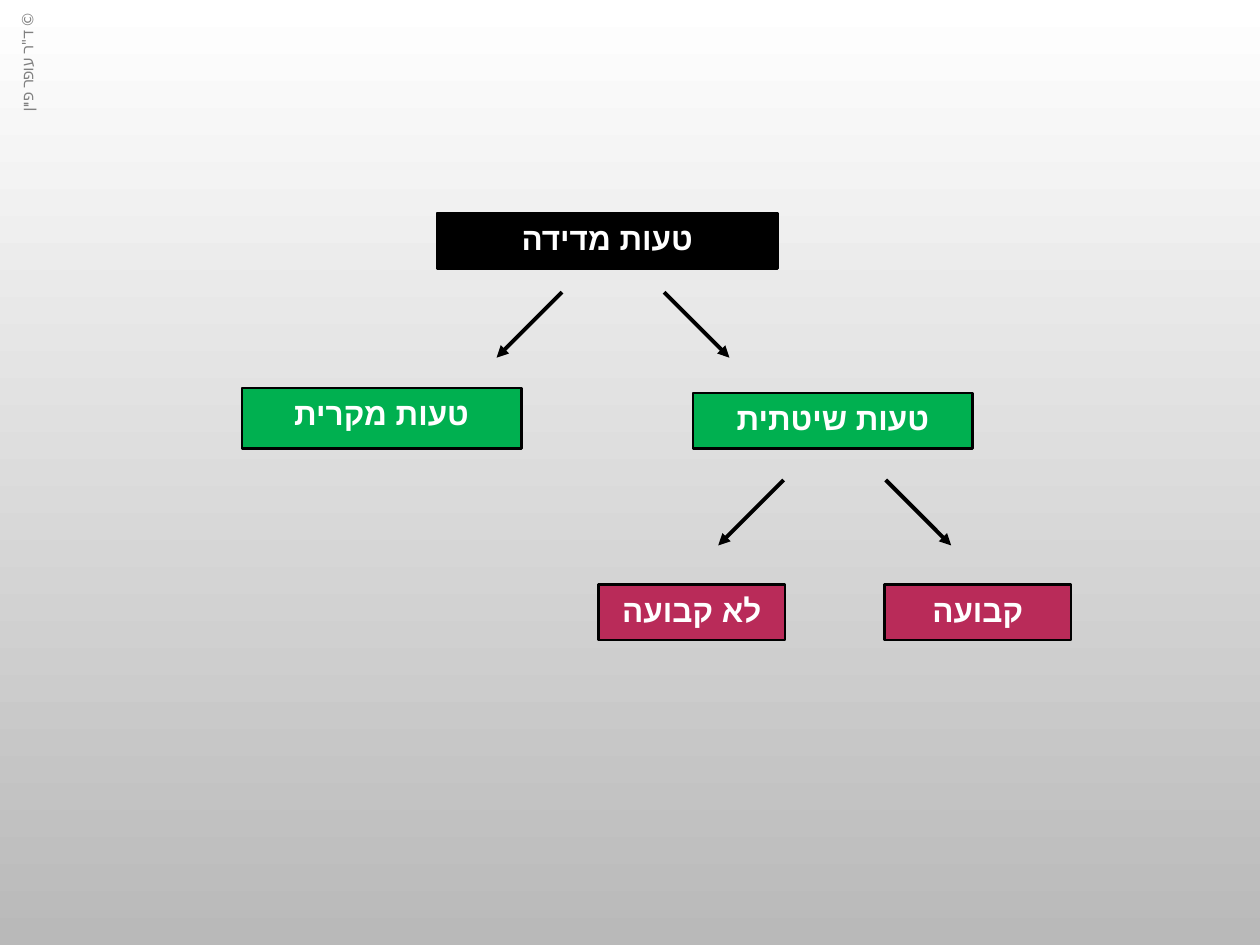
from pptx import Presentation
from pptx import util as u
from pptx.dml.color import RGBColor
from pptx.enum import shapes, text
from pptx.oxml.ns import qn
from lxml import etree

Pt = u.Pt
BLACK, GREEN, CRIMSON = "000000", "00B050", "B92B59"
LEVEL_TOPS = {"root": 121.7, "random": 221.8, "systematic": 224.6, "leaf": 334.1}
BOX_HEIGHT = 31.7


def color(value):
    return RGBColor.from_string(value)


def paint_background(slide, top, bottom):
    fill = slide.background.fill
    fill.gradient()
    fill.gradient_angle = 270
    for stop, shade in zip(fill.gradient_stops, (top, bottom)):
        stop.color.rgb = color(shade)


def write_hebrew(frame, wording, typeface, shade, **font_format):
    """Write one centred right-to-left paragraph."""
    frame.word_wrap = True
    frame.vertical_anchor = text.MSO_ANCHOR.TOP
    paragraph = frame.paragraphs[0]
    paragraph.alignment = text.PP_ALIGN.CENTER
    paragraph._p.get_or_add_pPr().set("rtl", "1")
    run = paragraph.add_run()
    run.text = wording
    for key, value in {"name": typeface, **font_format}.items():
        setattr(run.font, key, value)
    run.font.color.rgb = color(shade)
    # Hebrew letters take the complex-script typeface
    script = etree.SubElement(run._r.get_or_add_rPr(), qn("a:cs"))
    script.set("typeface", typeface)


def add_error_box(slide, wording, left, top, width, fill, height=BOX_HEIGHT):
    box = slide.shapes.add_shape(shapes.MSO_SHAPE.RECTANGLE,
                                 Pt(left), Pt(top), Pt(width), Pt(height))
    box.shadow.inherit = False
    box.fill.solid()
    box.fill.fore_color.rgb = color(fill)
    box.line.color.rgb = color(BLACK)
    box.line.width = Pt(1.5)
    write_hebrew(box.text_frame, wording, "Arial", "FFFFFF", size=Pt(18), bold=True)


def add_fork(slide, center, top, gap=58.3, reach=37.4):
    """Draw two arrows that spread down to the left and right of center."""
    for side in (-1, 1):
        start = center + side * gap / 2
        arrow = slide.shapes.add_connector(
            shapes.MSO_CONNECTOR.STRAIGHT, Pt(start), Pt(top),
            Pt(start + side * reach), Pt(top + reach))
        arrow.line.color.rgb = color(BLACK)
        arrow.line.width = Pt(2.25)
        outline = arrow.line._get_or_add_ln()
        etree.SubElement(outline, qn("a:tailEnd")).set("type", "triangle")
        etree.SubElement(arrow._element.spPr, qn("a:effectLst"))


def add_copyright(slide):
    credit = slide.shapes.add_textbox(Pt(-20.2), Pt(26.6), Pt(71.3), Pt(18))
    credit.rotation = 270
    write_hebrew(credit.text_frame, '© ד"ר עופר פיין', "Lato", "808080", size=Pt(9))
    credit.text_frame.auto_size = text.MSO_AUTO_SIZE.SHAPE_TO_FIT_TEXT


def main():
    deck = Presentation()
    deck.slide_width, deck.slide_height = Pt(720), Pt(540)
    slide = deck.slides.add_slide(deck.slide_layouts[6])
    paint_background(slide, "FFFFFF", "B9B9B9")
    add_copyright(slide)

    add_error_box(slide, "טעות מדידה", 249.8, LEVEL_TOPS["root"], 194.4, BLACK)
    add_error_box(slide, "טעות מקרית", 138.2, LEVEL_TOPS["random"], 159.8, GREEN,
                  height=34.6)
    add_error_box(slide, "טעות שיטתית", 396, LEVEL_TOPS["systematic"], 159.8, GREEN)
    for wording, left in (("קבועה", 505.4), ("לא קבועה", 342)):
        add_error_box(slide, wording, left, LEVEL_TOPS["leaf"], 106.6, CRIMSON)

    for center, top in ((350.3, 167), (477, 274.3)):
        add_fork(slide, center, top)
    deck.save("out.pptx")


if __name__ == "__main__":
    main()
